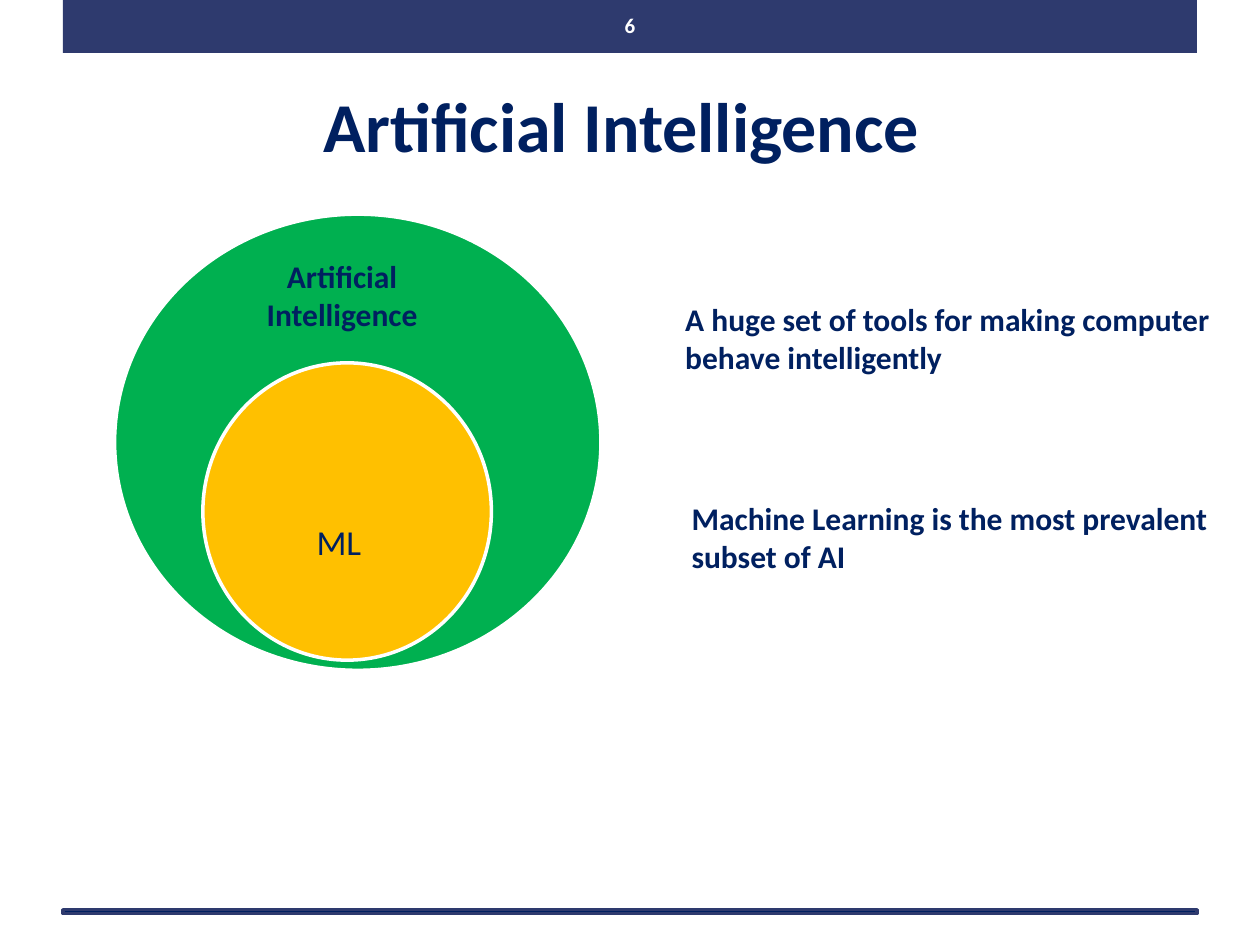
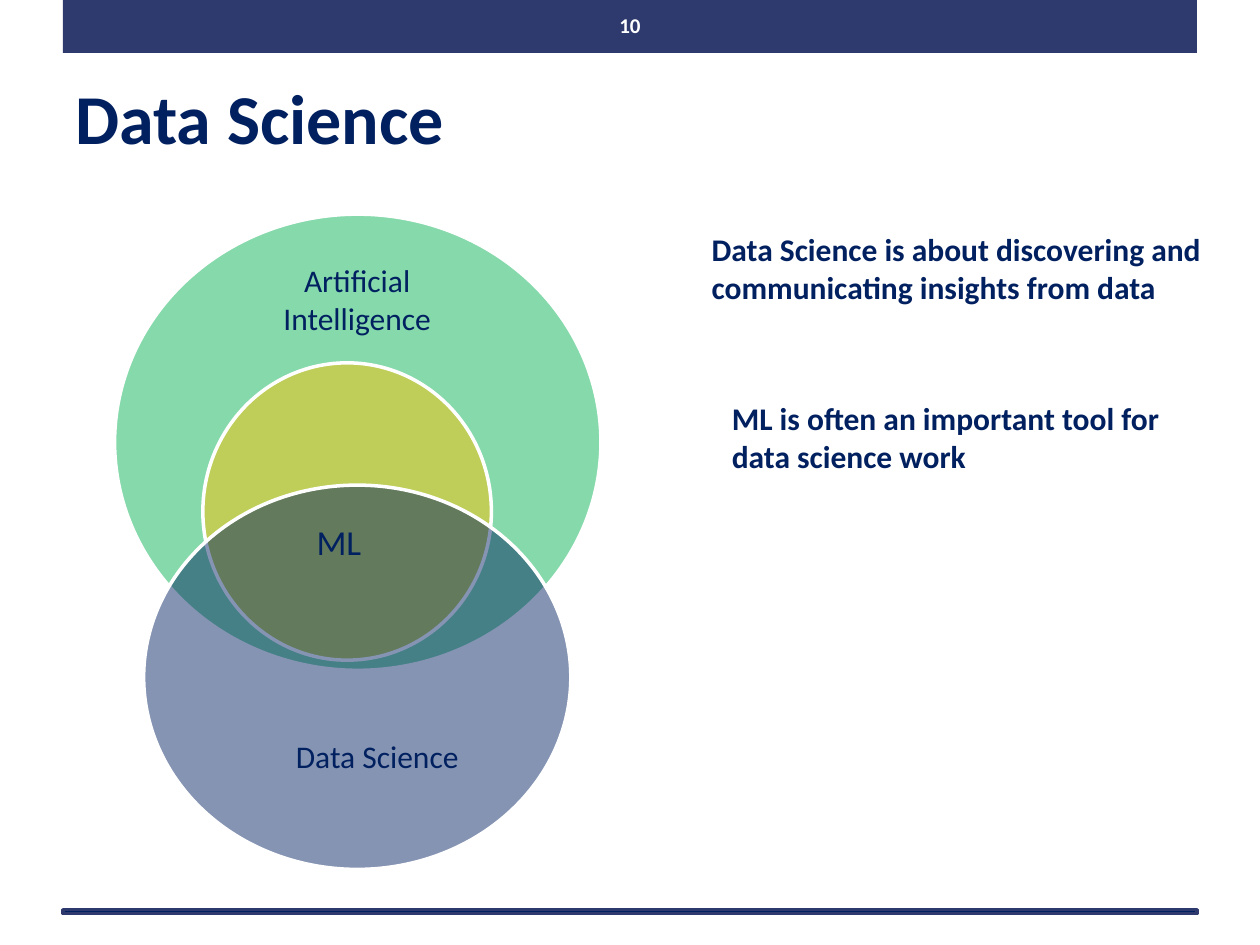
"""Build two slides on how AI, machine learning and data science overlap."""
from lxml.etree import SubElement
from pptx import Presentation
from pptx.dml.color import RGBColor
from pptx.enum.shapes import MSO_SHAPE
from pptx.enum.text import MSO_ANCHOR, PP_ALIGN
from pptx.oxml.ns import qn
from pptx.util import Inches, Pt

NAVY, BAND, WHITE = "002060", "2E3A6E", "FFFFFF"
GREEN, GOLD = "00B050", "FFC000"
LEFT, MID = PP_ALIGN.LEFT, PP_ALIGN.CENTER
TOP, CENTER = MSO_ANCHOR.TOP, MSO_ANCHOR.MIDDLE


def draw(slide, kind, place, fill, line=None, alpha=100):
    shape = slide.shapes.add_shape(kind, *map(Inches, place))
    shape.shadow.inherit = False
    shape.fill.solid()
    shape.fill.fore_color.rgb = RGBColor.from_string(fill)
    if alpha < 100:
        color = shape.fill._xPr.find(qn("a:solidFill"))[0]
        SubElement(color, qn("a:alpha")).set("val", str(alpha * 1000))
    if line:
        shape.line.color.rgb = RGBColor.from_string(line)
        shape.line.width = Pt(2)
    else:
        shape.line.fill.background()
    return shape


def write(slide, text, place, size=18, bold=True, align=LEFT, anchor=TOP,
          color=NAVY, shape=None):
    shape = shape or slide.shapes.add_textbox(*map(Inches, place))
    frame = shape.text_frame
    frame.text = text
    frame.word_wrap = True
    frame.vertical_anchor = anchor
    para = frame.paragraphs[0]
    para.alignment = align
    font = para.runs[0].font
    font.name, font.size, font.bold = "Calibri", Pt(size), bold
    font.color.rgb = RGBColor.from_string(color)


deck = Presentation()
deck.slide_width, deck.slide_height = Inches(10), Inches(7.5)

AI = (0.91, 1.7, 3.86, 3.62), GREEN, ""
ML = (1.61, 2.88, 2.29, 2.36), GOLD, "ML"
DATA = (1.14, 3.85, 3.39, 3.05), NAVY, ""

pages = [
    ("6", "Artificial Intelligence", (0.43, 0.36, 9, 1.25), MID, 100, [AI, ML], [
        ("Artificial Intelligence", (1.74, 1.99, 1.95, 0.71), True, MID),
        ("A huge set of tools for making computer behave intelligently",
         (5.34, 2.33, 4.54, 0.71), True, LEFT),
        ("Machine Learning is the most prevalent subset of AI",
         (5.39, 3.91, 4.49, 0.71), True, LEFT),
    ]),
    ("10", "Data Science", (0.5, 0.3, 9, 1.25), LEFT, 48, [AI, ML, DATA], [
        ("Artificial Intelligence", (1.77, 2.02, 2.13, 0.71), False, MID),
        ("Data Science", (1.93, 5.8, 2.13, 0.4), False, MID),
        ("Data Science is about discovering and communicating insights from data",
         (5.55, 1.78, 4.33, 0.71), True, LEFT),
        ("ML is often an important tool for data science work",
         (5.71, 3.12, 3.86, 0.71), True, LEFT),
    ]),
]

for number, title, place, align, alpha, rings, notes in pages:
    slide = deck.slides.add_slide(deck.slide_layouts[6])
    draw(slide, MSO_SHAPE.RECTANGLE, (0.5, 0, 9, 0.42), BAND)
    draw(slide, MSO_SHAPE.RECTANGLE, (0.5, 7.22, 9, 0.03), NAVY, BAND)
    write(slide, title, place, 40, True, align, CENTER)
    write(slide, number, (4.8, 0, 0.4, 0.4), 12, True, MID, CENTER, WHITE)
    for spot, fill, label in rings:
        ring = draw(slide, MSO_SHAPE.OVAL, spot, fill, WHITE, alpha)
        if label:
            frame = ring.text_frame
            frame.margin_left = frame.margin_bottom = 0
            frame.margin_right, frame.margin_top = Inches(0.13), Inches(0.48)
            write(slide, label, spot, 20, False, MID, CENTER, shape=ring)
    for text, spot, bold, side in notes:
        write(slide, text, spot, 18, bold, side)

deck.save("out.pptx")
